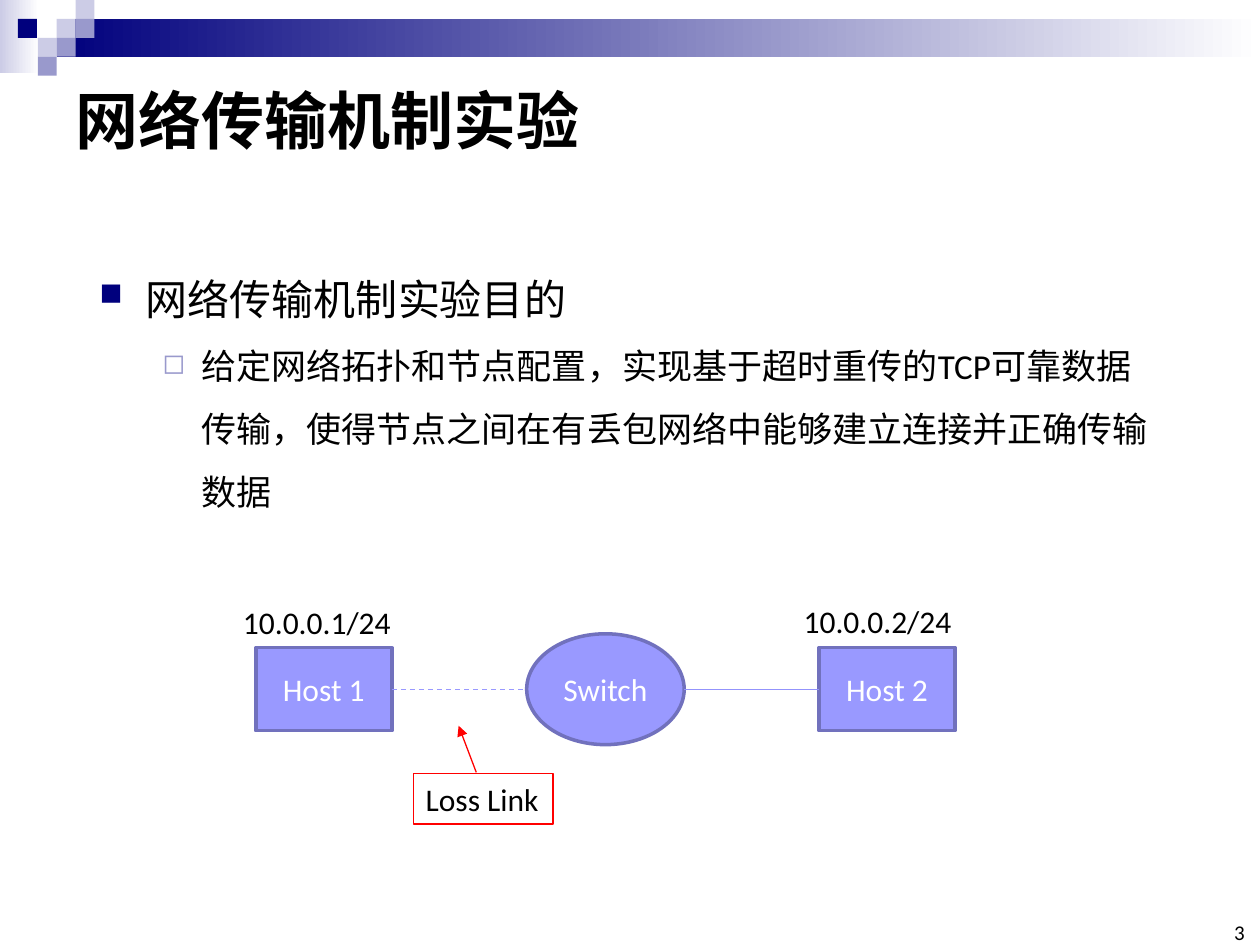
from lxml import etree
from pptx import Presentation
from pptx import util as u
from pptx.dml.color import RGBColor
from pptx.enum import dml, shapes, text
from pptx.oxml.ns import qn

FONT = "Calibri"
TILE = 0.15


def colour(value):
    """Turn a hex string into a colour."""
    return RGBColor.from_string(value)


def inches(*values):
    """Convert numbers to lengths in inches."""
    return [u.Inches(value) for value in values]


def add_xml(parent, tag, **attributes):
    """Append a drawing element with its attributes."""
    return etree.SubElement(parent, qn(tag), attributes)


def write(para, content, size=18, ink="000000", bold=False, align=None):
    """Write one formatted span into a paragraph."""
    span = para.add_run()
    span.text = content
    span.font.name = FONT
    span.font.size = u.Pt(size)
    span.font.bold = bold
    span.font.color.rgb = colour(ink)
    para.alignment = align


def add_bar(page, place, start, end=None):
    """Add a borderless rectangle, plain or fading from left to right."""
    bar = page.shapes.add_shape(shapes.MSO_SHAPE.RECTANGLE, *inches(*place))
    bar.shadow.inherit = False
    bar.line.fill.background()
    if end is None:
        bar.fill.solid()
        bar.fill.fore_color.rgb = colour(start)
        return
    bar.fill.gradient()
    bar.fill.gradient_angle = 0
    for stop, position, value in zip(bar.fill.gradient_stops, (0, 1), (start, end)):
        stop.position = position
        stop.color.rgb = colour(value)


def add_banner(page):
    """Add the fading bars and the small tiles at the top."""
    add_bar(page, (0, 0, 0.31, 0.58), "CCCCE6", "FFFFFF")
    add_bar(page, (0.45, TILE, 9.55, 2 * TILE), "00007D", "FFFFFF")
    tiles = [(3, 1, "CCCCE6"), (4, 0, "CCCCE6"), (4, 1, "9999CC"), (2, 2, "CCCCE6"),
             (0.95, 1, "00007D"), (3, 2, "9999CC"), (2, 3, "9999CC")]
    for column, row, value in tiles:
        add_bar(page, (column * TILE, row * TILE, TILE, TILE), value)


def add_title(page, content):
    """Place and format the title."""
    title = page.shapes.title
    title.left, title.top, title.width, title.height = inches(0.5, 0.5, 9, 0.89)
    title.text_frame.vertical_anchor = text.MSO_ANCHOR.MIDDLE
    write(title.text_frame.paragraphs[0], content, size=36, bold=True,
          align=text.PP_ALIGN.LEFT)


def add_text(page, place, content, wrap=False, **style):
    """Add a text box with one paragraph."""
    box = page.shapes.add_textbox(*inches(*place))
    box.text_frame.word_wrap = wrap
    write(box.text_frame.paragraphs[0], content, **style)
    return box


def set_bullet(para, mark, ink, percent, indent, hanging):
    """Give a paragraph a coloured bullet and a hanging indent."""
    props = para._p.get_or_add_pPr()
    props.set("marL", str(u.Inches(indent)))
    props.set("indent", str(-u.Inches(hanging)))
    add_xml(add_xml(props, "a:buClr"), "a:srgbClr", val=ink)
    add_xml(props, "a:buSzPct", val=str(percent * 1000))
    add_xml(props, "a:buChar", char=mark)


def add_goal(page):
    """Add the bulleted goal of the experiment."""
    box = add_text(page, (0.69, 1.92, 8.62, 1.94), "网络传输机制实验目的",
                   wrap=True, size=24)
    heading = box.text_frame.paragraphs[0]
    detail = box.text_frame.add_paragraph()
    detail.level = 1
    write(detail, "给定网络拓扑和节点配置，实现基于超时重传的TCP可靠数据传输，"
                  "使得节点之间在有丢包网络中能够建立连接并正确传输数据", size=20)
    for para in (heading, detail):
        para.line_spacing = 1.5
    set_bullet(heading, "■", "00007D", 75, 0.37, 0.37)
    set_bullet(detail, "◻", "9999CC", 80, 0.81, 0.31)


def add_node(page, kind, place, label):
    """Add a labelled network node."""
    node = page.shapes.add_shape(kind, *inches(*place))
    node.shadow.inherit = False
    node.fill.solid()
    node.fill.fore_color.rgb = colour("9999FF")
    node.line.color.rgb = colour("7171BD")
    node.line.width = u.Pt(2)
    node.text_frame.vertical_anchor = text.MSO_ANCHOR.MIDDLE
    write(node.text_frame.paragraphs[0], label, ink="FFFFFF",
          align=text.PP_ALIGN.CENTER)
    return node


def add_link(page, start, end, ink, dash=None, arrow=False):
    """Add a thin straight connector."""
    link = page.shapes.add_connector(shapes.MSO_CONNECTOR.STRAIGHT,
                                     *inches(*start, *end))
    link.line.color.rgb = colour(ink)
    link.line.width = u.Pt(0.75)
    if dash:
        link.line.dash_style = dash
    if arrow:
        add_xml(link.line._get_or_add_ln(), "a:tailEnd", type="triangle")
    add_xml(link._element.spPr, "a:effectLst")
    return link


def add_network(page):
    """Add the two hosts, the switch and the links between them."""
    box, oval = shapes.MSO_SHAPE.RECTANGLE, shapes.MSO_SHAPE.OVAL
    first = add_node(page, box, (2.03, 5.14, 1.08, 0.66), "Host 1")
    second = add_node(page, box, (6.5, 5.14, 1.08, 0.66), "Host 2")
    add_text(page, (1.83, 4.74, 1.39, 0.4), "10.0.0.1/24")
    add_text(page, (6.28, 4.73, 1.39, 0.4), "10.0.0.2/24")
    lossy = add_link(page, (3.11, 5.47), (4.18, 5.47), "9999FF",
                     dash=dml.MSO_LINE.DASH)
    lossy.begin_connect(first, 3)
    add_node(page, oval, (4.18, 5.03, 1.25, 0.88), "Switch")
    steady = add_link(page, (5.43, 5.47), (6.5, 5.47), "9393FC")
    steady.end_connect(second, 1)


def add_loss_note(page):
    """Add the framed note that points at the lossy link."""
    add_link(page, (3.78, 6.13), (3.64, 5.76), "FF0000", arrow=True)
    note = add_text(page, (3.28, 6.14, 1.11, 0.4), "Loss Link")
    note.line.color.rgb = colour("FF0000")
    note.line.width = u.Pt(0.75)


def add_page_number(page, number):
    """Add the page number in the lower right corner."""
    box = add_text(page, (9.65, 7.33, 0.23, 0.17), number, wrap=True, size=12,
                   align=text.PP_ALIGN.RIGHT)
    frame = box.text_frame
    frame.vertical_anchor = text.MSO_ANCHOR.BOTTOM
    frame.margin_left = frame.margin_right = frame.margin_top = frame.margin_bottom = 0


def main():
    """Build the slide and save the deck."""
    deck = Presentation()
    deck.slide_width, deck.slide_height = inches(10, 7.5)
    page = deck.slides.add_slide(deck.slide_layouts[5])
    add_banner(page)
    add_title(page, "网络传输机制实验")
    add_goal(page)
    add_network(page)
    add_loss_note(page)
    add_page_number(page, "3")
    deck.save("out.pptx")


if __name__ == "__main__":
    main()
